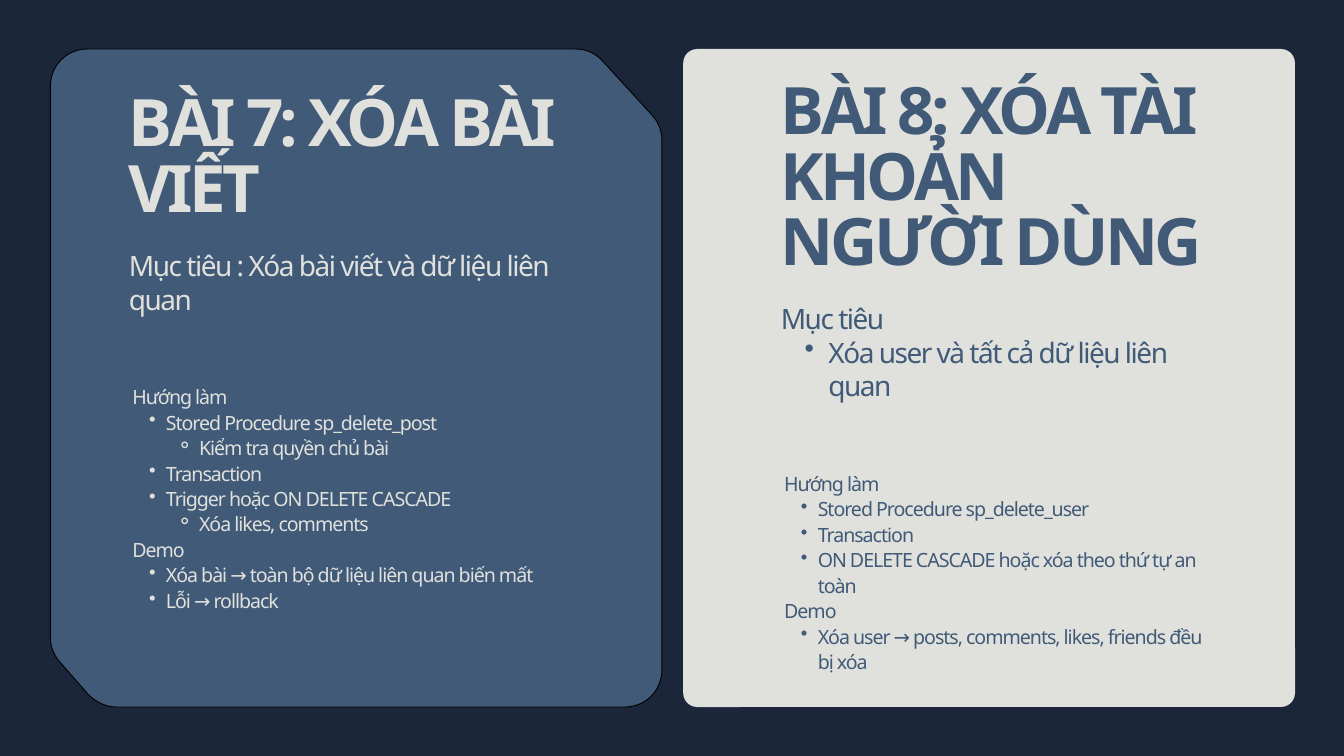
from dataclasses import dataclass

from lxml import etree
from pptx import Presentation
from pptx import util as u
from pptx.dml.color import RGBColor
from pptx.enum import shapes, text
from pptx.oxml.ns import qn

NAVY, BLUE, CREAM, BLACK = "1B263B", "415A77", "E0E1DD", "000000"
FONT = "Noto Sans"
BULLETS = {1: "•", 2: "⚬"}
CURVE_STEPS = 12


@dataclass(frozen=True)
class Style:
    size: float
    leading: float
    spacing: float
    indents: tuple = ((0, 0),)  # (left margin, hanging indent) by level
    bold: bool = False


@dataclass(frozen=True)
class Block:
    left: float
    top: float
    width: float
    height: float
    style: Style
    color: str
    lines: tuple  # (level, text)


TITLE = Style(70, 70, -3.8, bold=True)
GOAL = Style(30, 36, -1.6, ((0, 0), (51, -25.5)))
BODY = Style(21, 27.3, -1.1, ((0, 0), (36, -18), (71.5, -24)))

BLOCKS = (
    # Exercise 7
    Block(141.8, 410.4, 463, 269.3, BODY, CREAM, (
        (0, "Hướng làm"),
        (1, "Stored Procedure sp_delete_post"),
        (2, "Kiểm tra quyền chủ bài"),
        (1, "Transaction"),
        (1, "Trigger hoặc ON DELETE CASCADE"),
        (2, "Xóa likes, comments"),
        (0, "Demo"),
        (1, "Xóa bài → toàn bộ dữ liệu liên quan biến mất"),
        (1, "Lỗi → rollback"))),
    Block(138.2, 101.5, 465.8, 145.4, TITLE, CREAM, ((0, "BÀI 7: XÓA BÀI VIẾT"),)),
    Block(138.2, 266.4, 465.8, 109.4, GOAL, CREAM,
          ((0, "Mục tiêu : Xóa bài viết và dữ liệu liên quan"),)),
    # Exercise 8
    Block(840.2, 503.3, 458.6, 242.6, BODY, BLUE, (
        (0, "Hướng làm"),
        (1, "Stored Procedure sp_delete_user"),
        (1, "Transaction"),
        (1, "ON DELETE CASCADE hoặc xóa theo thứ tự an toàn"),
        (0, "Demo"),
        (1, "Xóa user → posts, comments, likes, friends đều bị xóa"))),
    Block(836.6, 88.6, 462.2, 215.3, TITLE, BLUE, ((0, "BÀI 8: XÓA TÀI KHOẢN NGƯỜI DÙNG"),)),
    Block(836.6, 323.3, 462.2, 145.4, GOAL, BLUE,
          ((0, "Mục tiêu"), (1, "Xóa user và tất cả dữ liệu liên quan"))),
)

# Rounded corners of the cut card: start, two control points, end
CUT_CARD_CORNERS = (
    ((93.6, 52.5), (71.3, 52.5), (54, 70.5), (54, 92.2)),
    ((54, 682.6), (54, 692.6), (57.6, 702), (64.1, 709.2)),
    ((95, 744.5), (103, 752.4), (113.8, 757.5), (124.6, 757.5)),
    ((669.6, 757.5), (680.4, 757.5), (690.5, 753.1), (697.7, 745.9)),
    ((704.9, 738.7), (709.2, 728.6), (709.2, 717.8)),
    ((709.2, 150.5), (709.2, 140.4), (705.6, 131), (699.1, 123.8)),
    ((645.8, 65.5), (637.9, 56.9), (627.8, 52.5), (616.3, 52.5)),
)


def rgb(color: str) -> RGBColor:
    return RGBColor.from_string(color)


def curve(a: tuple, b: tuple, c: tuple, d: tuple) -> list:
    """Points along a cubic curve, both ends included."""
    points = []
    for i in range(CURVE_STEPS + 1):
        t = i / CURVE_STEPS
        weights = ((1 - t) ** 3, 3 * t * (1 - t) ** 2, 3 * t * t * (1 - t), t ** 3)
        points.append(tuple(u.Pt(sum(w * q[k] for w, q in zip(weights, (a, b, c, d))))
                            for k in (0, 1)))
    return points


def add_cut_card(s) -> None:
    points, last = [], None
    for corner in CUT_CARD_CORNERS:
        # A three-point corner carries on from the end of the one before
        points += curve(*(corner if len(corner) == 4 else (last, *corner)))
        last = corner[-1]
    builder = s.shapes.build_freeform(*points[0])
    builder.add_line_segments(points[1:], close=True)
    sp = builder.convert_to_shape()
    sp.shadow.inherit = False
    sp.fill.solid()
    sp.fill.fore_color.rgb = rgb(BLUE)
    sp.line.color.rgb = rgb(BLACK)
    sp.line.width = u.Pt(1)


def add_round_card(s) -> None:
    sp = s.shapes.add_shape(shapes.MSO_SHAPE.ROUNDED_RECTANGLE,
                            u.Pt(732), u.Pt(52.5), u.Pt(655.5), u.Pt(705))
    sp.adjustments[0] = 15 / 655.5
    sp.shadow.inherit = False
    sp.fill.solid()
    sp.fill.fore_color.rgb = rgb(CREAM)
    sp.line.fill.background()


def add_block(s, block: Block) -> None:
    style = block.style
    sp = s.shapes.add_textbox(u.Pt(block.left), u.Pt(block.top),
                              u.Pt(block.width), u.Pt(block.height))
    tf = sp.text_frame
    tf.word_wrap = True
    tf.auto_size = text.MSO_AUTO_SIZE.SHAPE_TO_FIT_TEXT
    tf.margin_left = tf.margin_top = tf.margin_right = tf.margin_bottom = 0
    for i, (level, line) in enumerate(block.lines):
        p = tf.add_paragraph() if i else tf.paragraphs[0]
        p.level = level
        p.line_spacing = u.Pt(style.leading)
        if level:
            margin, indent = style.indents[level]
            pPr = p._p.get_or_add_pPr()
            pPr.set("marL", str(u.Pt(margin)))
            pPr.set("indent", str(u.Pt(indent)))
            etree.SubElement(pPr, qn("a:buChar"), char=BULLETS[level])
        r = p.add_run()
        r.text = line
        r.font.name = FONT
        r.font.size = u.Pt(style.size)
        r.font.bold = style.bold
        r.font.color.rgb = rgb(block.color)
        r._r.get_or_add_rPr().set("spc", str(round(style.spacing * 100)))


def main() -> None:
    prs = Presentation()
    prs.slide_width, prs.slide_height = u.Pt(1440), u.Pt(810)
    s = prs.slides.add_slide(prs.slide_layouts[6])
    s.background.fill.solid()
    s.background.fill.fore_color.rgb = rgb(NAVY)

    # Cards
    add_cut_card(s)
    add_round_card(s)

    # Text
    for block in BLOCKS:
        add_block(s, block)

    prs.save("out.pptx")


if __name__ == "__main__":
    main()
